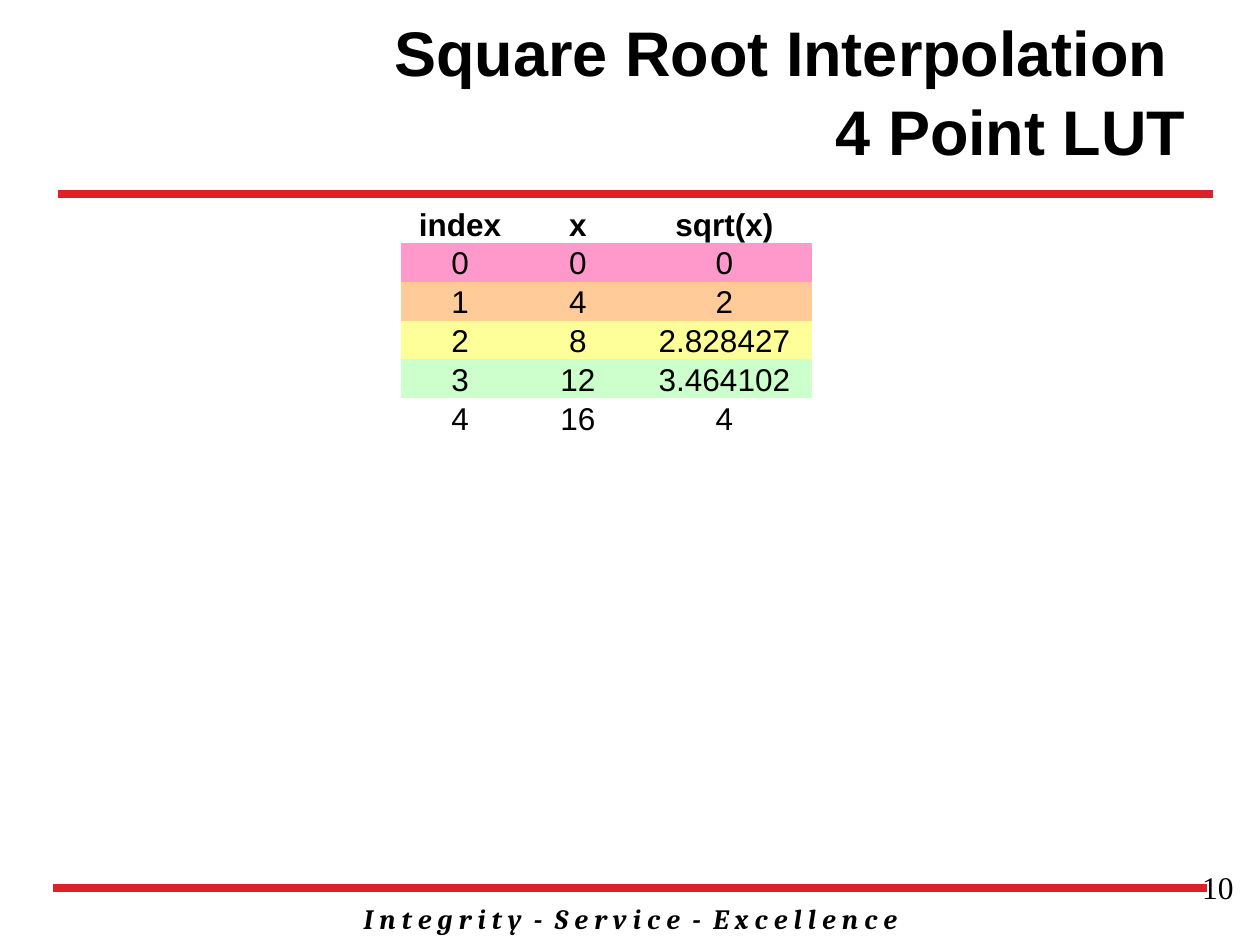
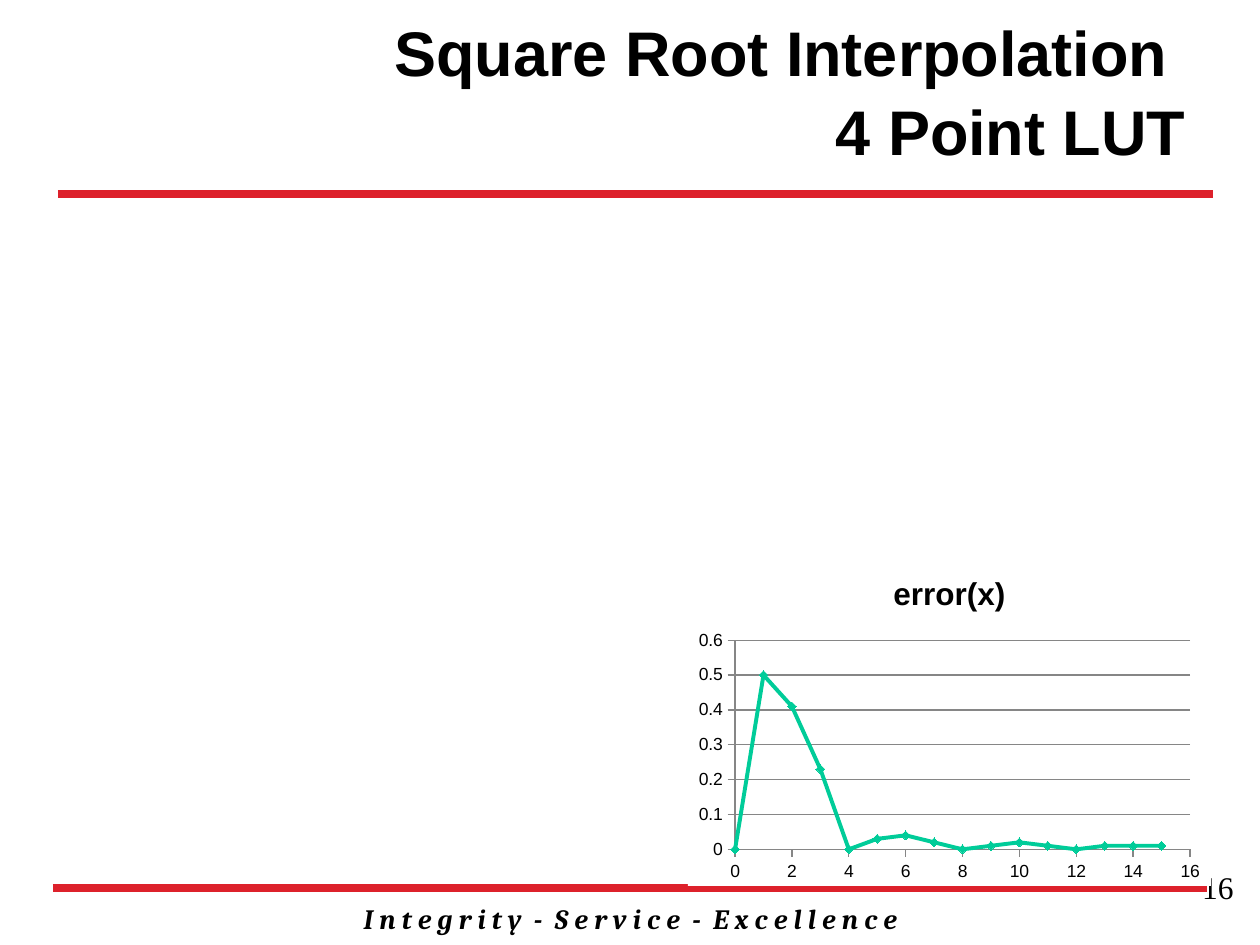
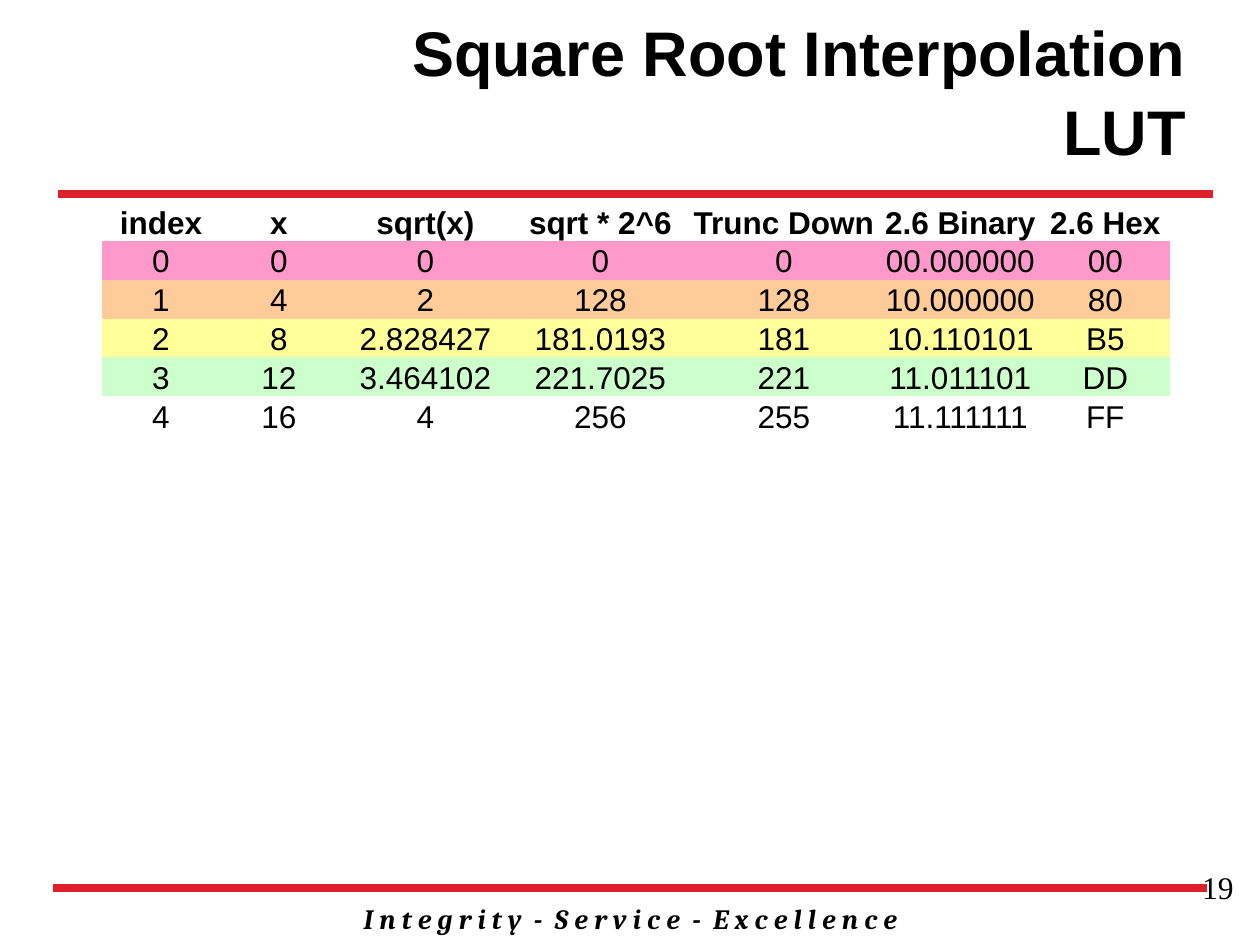
from lxml.etree import SubElement
from pptx import Presentation
from pptx.chart.data import XyChartData
from pptx.dml.color import RGBColor
from pptx.enum.chart import XL_CHART_TYPE, XL_MARKER_STYLE, XL_TICK_MARK
from pptx.enum.shapes import MSO_CONNECTOR
from pptx.enum.text import MSO_ANCHOR as ANCHOR, PP_ALIGN as ALIGN
from pptx.oxml.ns import qn
from pptx.util import Pt

EMU_PER_PX = 914400 / 126
BLACK = RGBColor(0x00, 0x00, 0x00)
WHITE = RGBColor(0xFF, 0xFF, 0xFF)
RED = RGBColor(0xDD, 0x21, 0x2B)
GRAY = RGBColor(0x86, 0x86, 0x86)
TEAL = RGBColor(0x00, 0xCC, 0x99)
PINK = RGBColor(0xFF, 0x99, 0xCC)
ORANGE = RGBColor(0xFF, 0xCC, 0x99)
YELLOW = RGBColor(0xFF, 0xFF, 0x99)
GREEN = RGBColor(0xCC, 0xFF, 0xCC)

NO_STYLE_TABLE = "{2D5ABB26-0587-4C30-8999-92F81FD0307C}"
MOTTO = "I n t e g r i t y  -  S e r v i c e  -  E x c e l l e n c e"
FOUR_POINT_TITLE = "Square Root Interpolation \v4 Point LUT"
LUT_ROWS = [
    ["index", "x", "sqrt(x)", "sqrt * 2^6", "Trunc Down", "2.6 Binary", "2.6 Hex"],
    ["0", "0", "0", "0", "0", "00.000000", "00"],
    ["1", "4", "2", "128", "128", "10.000000", "80"],
    ["2", "8", "2.828427", "181.0193", "181", "10.110101", "B5"],
    ["3", "12", "3.464102", "221.7025", "221", "11.011101", "DD"],
    ["4", "16", "4", "256", "255", "11.111111", "FF"],
]
LUT_FILLS = [None, PINK, ORANGE, YELLOW, GREEN, None]
LUT_WIDTHS = [118, 118, 175, 175, 192, 161, 129]
ROW_HEIGHT = 36
ERRORS = [0, 0.5, 0.41, 0.23, 0, 0.03, 0.04, 0.02,
          0, 0.01, 0.02, 0.01, 0, 0.01, 0.01, 0.01]


def px(n):
    return round(n * EMU_PER_PX)


def style_font(font, name, size, bold=False, italic=False):
    font.name, font.size = name, Pt(size)
    font.bold, font.italic = bold, italic
    font.color.rgb = BLACK


def write(tf, text, align, *font_style):
    p = tf.paragraphs[0]
    p.alignment = align
    for i, line in enumerate(text.split("\v")):
        if i:
            p.add_line_break()
        r = p.add_run()
        r.text = line
        style_font(r.font, *font_style)
    return p


def add_text(s, box, text, align, *font_style, anchor=ANCHOR.TOP):
    tf = s.shapes.add_textbox(*map(px, box)).text_frame
    tf.word_wrap = True
    tf.vertical_anchor = anchor
    return write(tf, text, align, *font_style)


def add_rule(s, left, right, y):
    line = s.shapes.add_connector(MSO_CONNECTOR.STRAIGHT, px(left), px(y), px(right), px(y))
    line.line.color.rgb = RED
    line.line.width = Pt(4.5)
    SubElement(line._element.spPr, qn("a:effectLst"))


def add_slide(prs, title, number):
    """Add a blank slide with the shared title, rules, motto and page number."""
    s = prs.slides.add_slide(prs.slide_layouts[6])
    add_text(s, (179, 895, 903, 47), MOTTO, ALIGN.CENTER, "Cambria", 16, True, True)
    add_rule(s, 53, 1207, 888)
    add_rule(s, 58, 1213, 194)
    p = add_text(s, (263, 10, 935, 158), title, ALIGN.RIGHT, "Arial", 36, True,
                 anchor=ANCHOR.MIDDLE)
    p.line_spacing = 1.05
    add_text(s, (953, 862, 293, 66), str(number), ALIGN.RIGHT, "Times New Roman", 18)
    return s


def add_lut(s, left, top, n_cols):
    """Add the lookup table, showing its first n_cols columns."""
    widths = LUT_WIDTHS[:n_cols]
    n_rows = len(LUT_ROWS)
    table = s.shapes.add_table(n_rows, n_cols, px(left), px(top),
                               px(sum(widths)), px(ROW_HEIGHT * n_rows)).table
    table.first_row = table.horz_banding = False
    table._tbl.tblPr.find(qn("a:tableStyleId")).text = NO_STYLE_TABLE
    for column, width in zip(table.columns, widths):
        column.width = px(width)
    for i, (row, texts, color) in enumerate(zip(table.rows, LUT_ROWS, LUT_FILLS)):
        row.height = px(ROW_HEIGHT)
        for cell, text in zip(row.cells, texts):
            cell.margin_left = cell.margin_right = cell.margin_top = px(1)
            cell.margin_bottom = 0
            cell.vertical_anchor = ANCHOR.BOTTOM
            if color is None:
                cell.fill.background()
            else:
                cell.fill.solid()
                cell.fill.fore_color.rgb = color
            write(cell.text_frame, text, ALIGN.CENTER, "Arial", 18, i == 0)


def style_axis(axis, top, step):
    axis.minimum_scale, axis.maximum_scale, axis.major_unit = 0, top, step
    axis.major_tick_mark = XL_TICK_MARK.OUTSIDE
    axis.minor_tick_mark = XL_TICK_MARK.NONE
    axis.tick_labels.number_format = "General"
    axis.tick_labels.number_format_is_linked = False
    axis.format.line.color.rgb = GRAY


def fill_chart_white(chart):
    sp_pr = SubElement(chart._chartSpace, qn("c:spPr"))
    chart._chartSpace.chart.addnext(sp_pr)
    fill = SubElement(sp_pr, qn("a:solidFill"))
    SubElement(fill, qn("a:srgbClr"), val=str(WHITE))
    SubElement(SubElement(sp_pr, qn("a:ln")), qn("a:noFill"))


def place_plot(chart, **box):
    """Fix the inner plot area, as fractions of the chart."""
    plot_area = chart._chartSpace.chart.plotArea
    layout = plot_area.find(qn("c:layout"))
    if layout is None:
        layout = SubElement(plot_area, qn("c:layout"))
        plot_area.insert(0, layout)
    manual = SubElement(layout, qn("c:manualLayout"))
    SubElement(manual, qn("c:layoutTarget"), val="inner")
    for side in "xy":
        SubElement(manual, qn(f"c:{side}Mode"), val="edge")
    for key, value in box.items():
        SubElement(manual, qn(f"c:{key}"), val=str(value))


def add_error_chart(s):
    data = XyChartData()
    series = data.add_series("error(x)")
    for x, error in enumerate(ERRORS):
        series.add_data_point(x, error)
    chart = s.shapes.add_chart(XL_CHART_TYPE.XY_SCATTER_LINES, px(688), px(554),
                               px(523), px(332), data).chart
    style_font(chart.font, "Arial", 10)
    fill_chart_white(chart)
    chart.has_legend = False
    chart.has_title = True
    write(chart.chart_title.text_frame, "error(x)", ALIGN.CENTER, "Arial", 18, True)
    chart.chart_title.include_in_layout = False
    place_plot(chart, x=0.09, y=0.26, w=0.87, h=0.63)

    style_axis(chart.category_axis, 16, 2)
    chart.category_axis.has_major_gridlines = False
    style_axis(chart.value_axis, 0.6, 0.1)
    chart.value_axis.has_major_gridlines = True
    chart.value_axis.major_gridlines.format.line.color.rgb = GRAY

    plot = chart.plots[0]
    plot.vary_by_categories = False
    curve = plot.series[0]
    curve.smooth = False
    curve.format.line.color.rgb = TEAL
    curve.format.line.width = Pt(2.25)
    marker = curve.marker
    marker.style, marker.size = XL_MARKER_STYLE.DIAMOND, 5
    marker.format.fill.solid()
    marker.format.fill.fore_color.rgb = TEAL
    marker.format.line.color.rgb = TEAL


def main():
    prs = Presentation()
    prs.slide_width, prs.slide_height = px(1260), px(945)
    add_lut(add_slide(prs, FOUR_POINT_TITLE, 10), 401, 204, 3)
    add_error_chart(add_slide(prs, FOUR_POINT_TITLE, 16))
    add_lut(add_slide(prs, "Square Root Interpolation LUT", 19), 102, 202, 7)
    prs.save("out.pptx")


if __name__ == "__main__":
    main()
